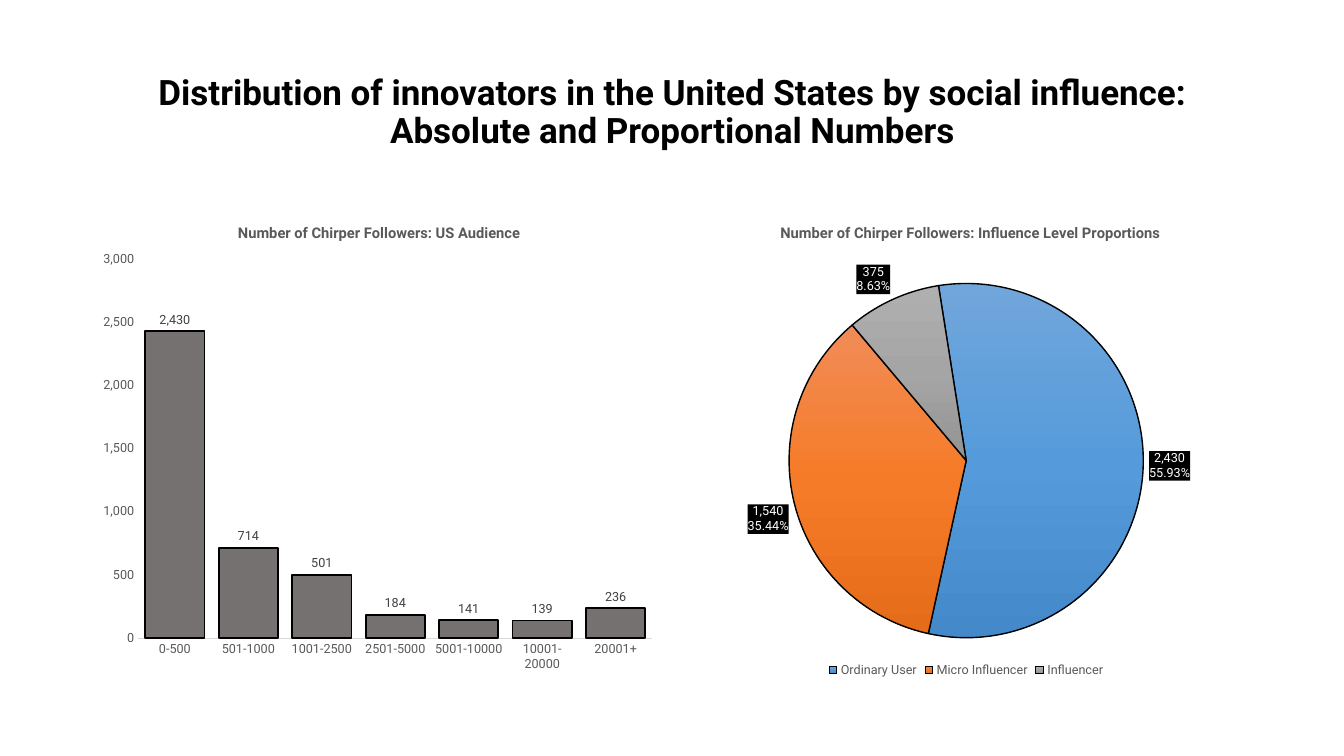
from pptx import Presentation
from pptx.chart.data import CategoryChartData
from pptx.dml.color import RGBColor
from pptx.enum.chart import XL_CHART_TYPE, XL_LABEL_POSITION, XL_LEGEND_POSITION, XL_TICK_MARK
from pptx.enum.text import MSO_ANCHOR, PP_ALIGN
from pptx.oxml import parse_xml
from pptx.oxml.ns import nsdecls, qn
from pptx.util import Cm, Pt

FONT = "Roboto"
COLORS = {
    "black": "000000", "white": "FFFFFF", "text": "595959",
    "label": "404040", "axis": "D9D9D9", "bar": "767171",
}
SLICES = [
    ("71A6DB", "559BDB", "448ACA"),
    ("F18C57", "F67B28", "E56C19"),
    ("AFAFAF", "A5A5A5", "939393"),
]
FOLLOWERS = {
    "0-500": 2430, "501-1000": 714, "1001-2500": 501, "2501-5000": 184,
    "5001-10000": 141, "10001-20000": 139, "20001+": 236,
}
LEVELS = {"Ordinary User": 2430, "Micro Influencer": 1540, "Influencer": 375}


def rgb(name):
    return RGBColor.from_string(COLORS[name])


def set_font(font, color, **values):
    font.color.rgb = rgb(color)
    for key, value in {"name": FONT, "size": Pt(9), "bold": False, **values}.items():
        setattr(font, key, value)


def set_line(line, color, width):
    line.color.rgb = rgb(color)
    line.width = Pt(width)


def set_layout(parent, index, target="", **box):
    old = parent.find(qn("c:layout"))
    if old is not None:
        parent.remove(old)
    inner = f'<c:layoutTarget val="{target}"/>' if target else ""
    modes = "".join(f'<c:{k}Mode val="edge"/>' for k in "xy")
    sizes = "".join(f'<c:{k} val="{v}"/>' for k, v in box.items())
    parent.insert(index, parse_xml(
        f'<c:layout {nsdecls("c")}><c:manualLayout>{inner}{modes}{sizes}'
        '</c:manualLayout></c:layout>'))


def add_base_chart(s, kind, values, box, title, title_x, plot_box):
    data = CategoryChartData(number_format="#,##0")
    data.categories = list(values)
    data.add_series("Series 1", list(values.values()))
    chart = s.shapes.add_chart(kind, *box, data).chart
    set_font(chart.font, "black")
    chart.has_title = True
    tf = chart.chart_title.text_frame
    tf.text = title
    set_font(tf.paragraphs[0].runs[0].font, "text", size=Pt(10.5), bold=True)
    set_layout(chart.chart_title._element, 1, x=title_x, y=0.04)
    plot_area = chart._chartSpace.find(qn("c:chart")).find(qn("c:plotArea"))
    set_layout(plot_area, 0, "inner", **plot_box)
    return chart


def add_labels(series, color, number_format):
    labels = series.data_labels
    set_font(labels.font, color)
    formats = {
        "show_value": True, "position": XL_LABEL_POSITION.OUTSIDE_END,
        "number_format": number_format, "number_format_is_linked": False,
    }
    for key, value in formats.items():
        setattr(labels, key, value)
    return labels


def add_follower_chart(s, box):
    chart = add_base_chart(
        s, XL_CHART_TYPE.COLUMN_CLUSTERED, FOLLOWERS, box,
        "Number of Chirper Followers: US Audience", 0.25,
        {"x": 0.08, "y": 0.12, "w": 0.9, "h": 0.79})
    chart.has_legend = False
    plot = chart.plots[0]
    for key, value in {"gap_width": 24, "overlap": -27, "vary_by_categories": False}.items():
        setattr(plot, key, value)
    series = plot.series[0]
    series.format.fill.solid()
    series.format.fill.fore_color.rgb = rgb("bar")
    set_line(series.format.line, "black", 1.25)
    add_labels(series, "label", "#,##0")
    for axis in (chart.category_axis, chart.value_axis):
        axis.major_tick_mark = axis.minor_tick_mark = XL_TICK_MARK.NONE
        axis.has_major_gridlines = False
        set_font(axis.tick_labels.font, "text")
    set_line(chart.category_axis.format.line, "axis", 0.75)
    axis = chart.value_axis
    axis.format.line.fill.background()
    for key, value in {"minimum_scale": 0, "maximum_scale": 3000, "major_unit": 500}.items():
        setattr(axis, key, value)
    axis.tick_labels.number_format = "#,##0"
    axis.tick_labels.number_format_is_linked = False


def add_influence_chart(s, box):
    chart = add_base_chart(
        s, XL_CHART_TYPE.PIE, LEVELS, box,
        "Number of Chirper Followers: Influence Level Proportions", 0.17,
        {"x": 0.19, "y": 0.17, "w": 0.62, "h": 0.74})
    chart.has_legend = True
    chart.legend.position = XL_LEGEND_POSITION.BOTTOM
    chart.legend.include_in_layout = False
    set_font(chart.legend.font, "text")
    plot = chart.plots[0]
    plot.vary_by_categories = True
    plot._element.append(parse_xml(f'<c:firstSliceAng {nsdecls("c")} val="351"/>'))
    series = plot.series[0]
    for i in range(len(SLICES)):
        set_line(series.points[i].format.line, "black", 1)
    for point, stops in zip(series._element.findall(qn("c:dPt")), SLICES):
        gs = "".join(
            f'<a:gs pos="{i * 50000}"><a:srgbClr val="{color}"/></a:gs>'
            for i, color in enumerate(stops))
        point.find(qn("c:spPr")).insert(0, parse_xml(
            f'<a:gradFill {nsdecls("a")} rotWithShape="1"><a:gsLst>{gs}</a:gsLst>'
            '<a:lin ang="5400000" scaled="0"/></a:gradFill>'))
    labels = add_labels(series, "white", "0.00%")
    labels.show_percentage = True
    element = labels._element
    element.find(qn("c:txPr")).addprevious(parse_xml(
        f'<c:spPr {nsdecls("c", "a")}><a:solidFill><a:srgbClr val="{COLORS["black"]}"/>'
        '</a:solidFill></c:spPr>'))
    element.find(qn("c:showBubbleSize")).addnext(parse_xml(
        f'<c:separator {nsdecls("c")}>\n</c:separator>'))


def add_title(s, box):
    sp = s.shapes.title
    for key, value in zip(("left", "top", "width", "height"), box):
        setattr(sp, key, value)
    tf = sp.text_frame
    tf.word_wrap = True
    tf.vertical_anchor = MSO_ANCHOR.MIDDLE
    p = tf.paragraphs[0]
    p.alignment = PP_ALIGN.CENTER
    p.line_spacing = 0.9
    r = p.add_run()
    r.text = ("Distribution of innovators in the United States by social influence: "
              "Absolute and Proportional Numbers")
    set_font(r.font, "black", size=Pt(25), bold=True)


def main():
    prs = Presentation()
    prs.slide_width, prs.slide_height = Cm(33.87), Cm(19.05)
    s = prs.slides.add_slide(prs.slide_layouts[5])
    left, gap, width = Cm(2.33), Cm(0.42), Cm(14.4)
    top, height = Cm(5.08), Cm(12.09)
    add_title(s, (left, Cm(1.01), 2 * width + gap, Cm(3.68)))
    add_follower_chart(s, (left, top, width, height))
    add_influence_chart(s, (left + width + gap, top, width, height))
    prs.save("out.pptx")


if __name__ == "__main__":
    main()
